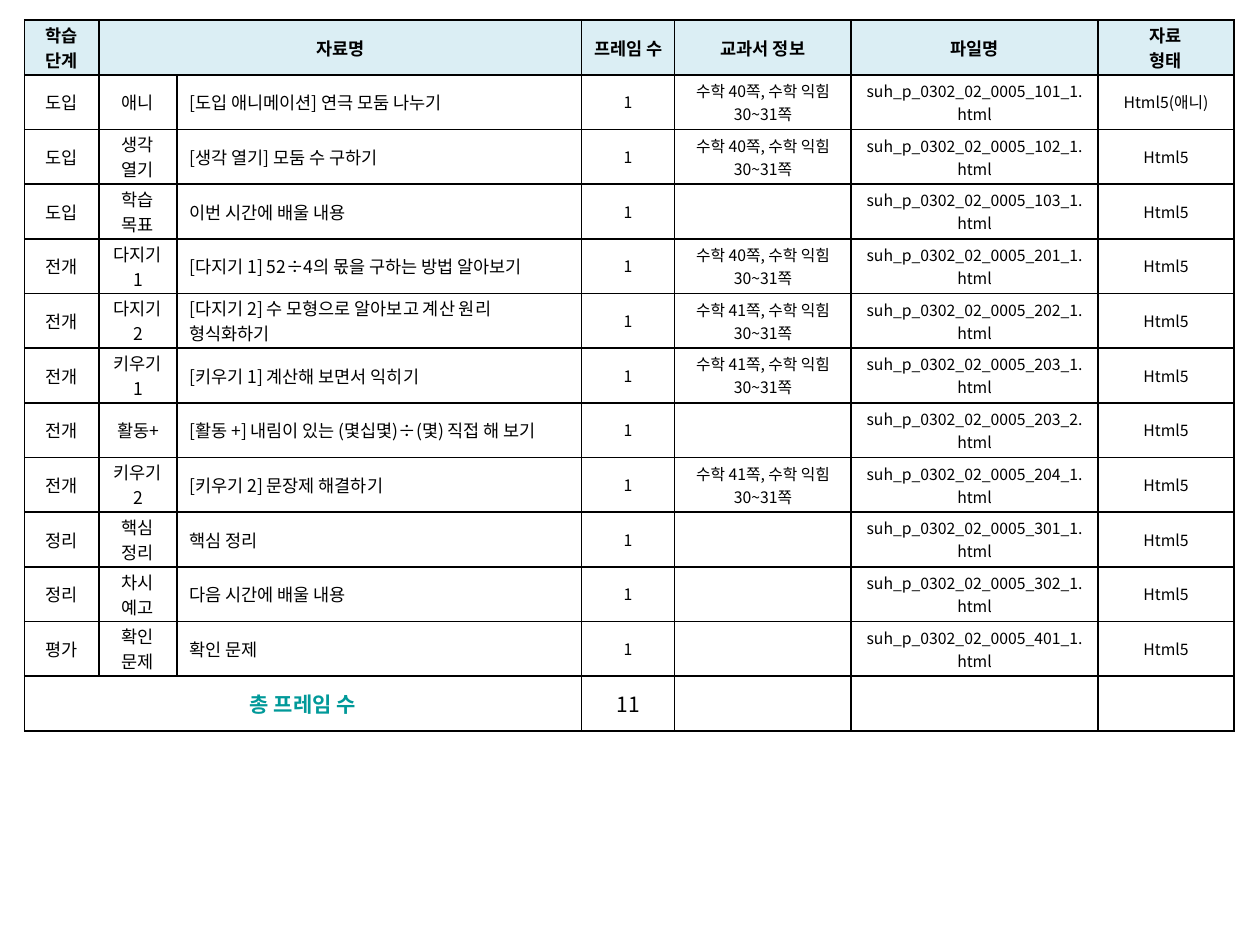
from lxml.etree import SubElement
from pptx import Presentation
from pptx.dml.color import RGBColor
from pptx.enum.text import MSO_ANCHOR as Anchor, PP_ALIGN as Align
from pptx.oxml.ns import qn
from pptx.util import Pt

FONT = "Noto Sans CJK KR"
BLACK = RGBColor(0, 0, 0)
WHITE = RGBColor(0xFF, 0xFF, 0xFF)
PALE = RGBColor(0xDB, 0xEE, 0xF4)
TEAL = RGBColor(0, 0x99, 0x99)

WIDTHS = [42.5, 44.6, 231.2, 53.3, 100.8, 141, 77.8]
HEIGHT = 31.25
SIZES = [10, 10, 10, 9, 9, 9, 9]
NAME_COL = 2

HEAD = ["학습 단계", "자료명", "", "프레임 수", "교과서 정보", "파일명", "자료\n형태"]
# stage, part, title, textbook page, file number
ITEMS = [
    ("도입", "애니", "[도입 애니메이션] 연극 모둠 나누기", 40, "101_1"),
    ("도입", "생각 열기", "[생각 열기] 모둠 수 구하기", 40, "102_1"),
    ("도입", "학습 목표", "이번 시간에 배울 내용", None, "103_1"),
    ("전개", "다지기 1", "[다지기 1] 52÷4의 몫을 구하는 방법 알아보기", 40, "201_1"),
    ("전개", "다지기 2", "[다지기 2] 수 모형으로 알아보고 계산 원리 형식화하기", 41, "202_1"),
    ("전개", "키우기1", "[키우기 1] 계산해 보면서 익히기", 41, "203_1"),
    ("전개", "활동+", "[활동 +] 내림이 있는 (몇십몇)÷(몇) 직접 해 보기", None, "203_2"),
    ("전개", "키우기2", "[키우기 2] 문장제 해결하기", 41, "204_1"),
    ("정리", "핵심 정리", "핵심 정리", None, "301_1"),
    ("정리", "차시 예고", "다음 시간에 배울 내용", None, "302_1"),
    ("평가", "확인 문제", "확인 문제", None, "401_1"),
]
TOTAL = ["총 프레임 수", "", "", str(len(ITEMS)), "", "", ""]


def expand(item):
    """Turn an item into the seven texts of its row."""
    stage, part, title, page, num = item
    book = f"수학 {page}쪽, 수학 익힘 30~31쪽" if page else ""
    kind = "Html5(애니)" if part == "애니" else "Html5"
    return [stage, part, title, "1", book, f"suh_p_0302_02_0005_{num}.html", kind]


def add_edges(cell):
    props = cell._tc.get_or_add_tcPr()
    for side in ("lnL", "lnR", "lnT", "lnB"):
        line = SubElement(props, qn(f"a:{side}"), w=str(Pt(1)))
        fill = SubElement(line, qn("a:solidFill"))
        SubElement(fill, qn("a:srgbClr"), val=str(BLACK))


def fill_cell(cell, text, size, align=Align.CENTER, bold=False, color=BLACK, back=None):
    add_edges(cell)
    if back is None:
        cell.fill.background()
    else:
        cell.fill.solid()
        cell.fill.fore_color.rgb = back
    cell.vertical_anchor = Anchor.MIDDLE
    cell.margin_left = cell.margin_right = Pt(7.2)
    cell.margin_top = cell.margin_bottom = Pt(1)
    cell.text = text
    for para in cell.text_frame.paragraphs:
        para.alignment = align
        font = para.font
        font.name, font.size, font.bold = FONT, Pt(size), bold
        font.color.rgb = color
        SubElement(para._p.pPr.find(qn("a:defRPr")), qn("a:ea"), typeface=FONT)


def add_plan(slide, left, top):
    """Place the lesson table with its top left corner at the given point."""
    rows = [HEAD, *map(expand, ITEMS), TOTAL]
    last = len(rows) - 1
    table = slide.shapes.add_table(
        len(rows), len(WIDTHS), Pt(left), Pt(top),
        Pt(sum(WIDTHS)), Pt(HEIGHT * len(rows))).table
    table.first_row = table.horz_banding = False
    for col, width in zip(table.columns, WIDTHS):
        col.width = Pt(width)
    for row in table.rows:
        row.height = Pt(HEIGHT)

    for r, texts in enumerate(rows):
        for c, text in enumerate(texts):
            cell = table.cell(r, c)
            if r == 0:
                fill_cell(cell, text, 10, bold=True, back=PALE)
            elif r == last:
                fill_cell(cell, text, 12, bold=c == 0,
                          color=TEAL if c == 0 else BLACK, back=WHITE)
            else:
                fill_cell(cell, text, SIZES[c],
                          align=Align.LEFT if c == NAME_COL else Align.CENTER,
                          back=WHITE if r == last - 1 else None)
    table.cell(0, 1).merge(table.cell(0, NAME_COL))
    table.cell(last, 0).merge(table.cell(last, NAME_COL))


def main():
    deck = Presentation()
    deck.slide_width, deck.slide_height = Pt(720), Pt(540)
    slide = deck.slides.add_slide(deck.slide_layouts[6])
    add_plan(slide, 14, 11.5)
    deck.save("out.pptx")


if __name__ == "__main__":
    main()
